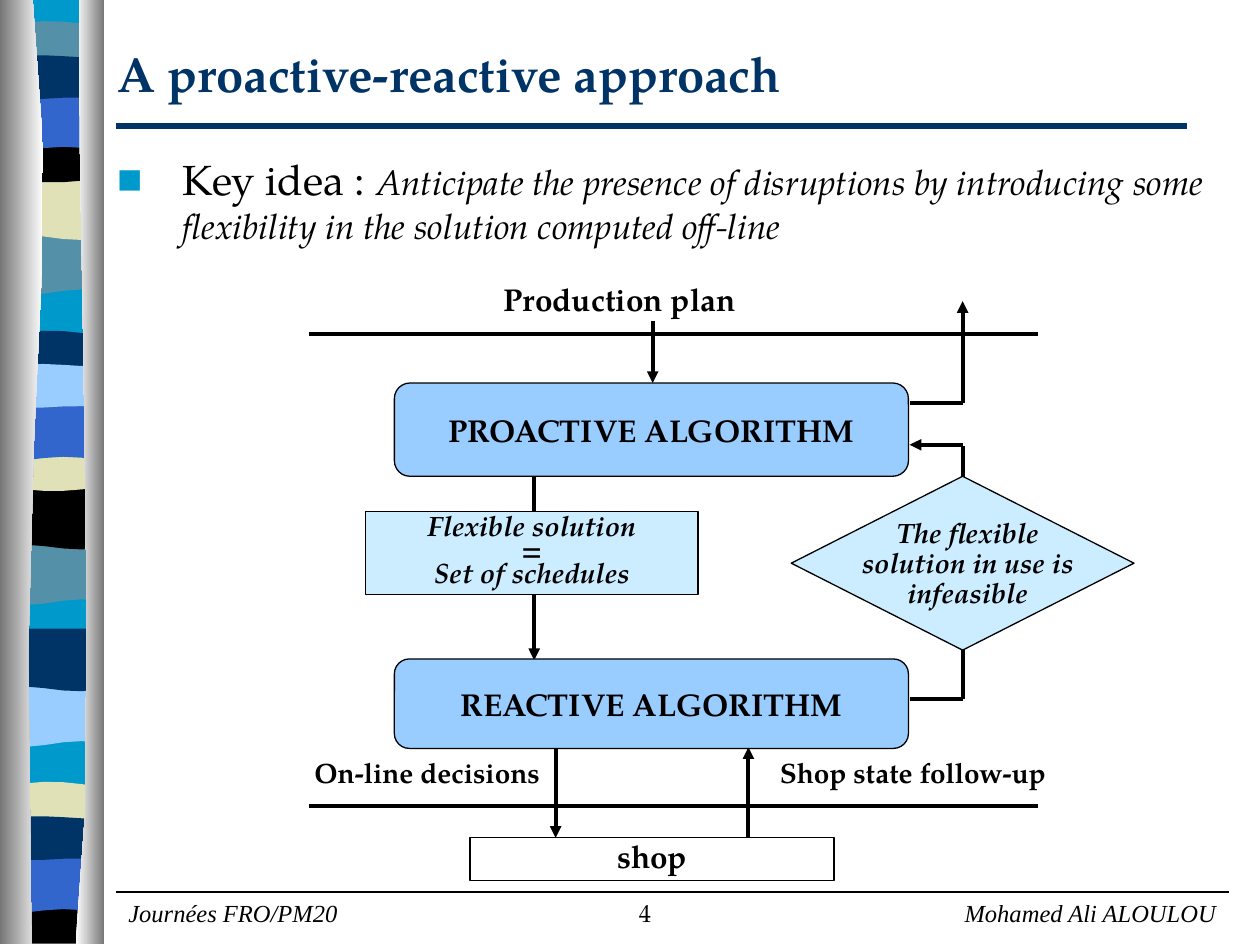
from lxml.etree import SubElement as Sub
from pptx import Presentation
from pptx.dml.color import RGBColor as RGB
from pptx.enum.shapes import MSO_CONNECTOR as Conn, MSO_SHAPE as Form
from pptx.enum.text import MSO_ANCHOR as Anchor, PP_ALIGN as Align
from pptx.oxml.ns import qn
from pptx.util import Inches, Pt

theme = {
    "navy": "003366", "blue": "3366CC", "sky": "99CCFF", "pale": "CCECFF",
    "cyan": "0099CC", "teal": "5490A8", "sand": "E1E1B7", "grey": "767676",
    "black": "000000", "white": "FFFFFF",
    "font": "TeX Gyre Pagella", "foot": "Times New Roman",
    "head": 28, "lead": 24, "body": 20, "box": 18, "note": 16, "small": 14,
    "thin": 0.74, "thick": 2.24, "rule": 3,
}
BOLD = {"bold": True}
ITAL = {"italic": True}


def tint(name):
    return RGB.from_string(theme[name])


def write(shape, lines, size, look, color="black", font="font",
          wrap=True, anchor=Anchor.TOP, **form):
    """Fill a shape with paragraphs of one run each."""
    frame = shape.text_frame
    frame.word_wrap, frame.vertical_anchor = wrap, anchor
    for i, line in enumerate(lines):
        para = frame.paragraphs[0] if i == 0 else frame.add_paragraph()
        for key, val in form.items():
            setattr(para, key, val)
        run = para.add_run()
        run.text = line
        base = {"size": Pt(theme[size]), "name": theme[font]}
        for key, val in {**base, **look}.items():
            setattr(run.font, key, val)
        run.font.color.rgb = tint(color)


deck = Presentation()
deck.slide_width, deck.slide_height = Inches(10), Inches(7.5)
slide = deck.slides.add_slide(deck.slide_layouts[1])
shapes = slide.shapes

# Ribbon bands, back to front: heights of the top and the bottom edge.
# Two heights make a straight edge, four make a cubic one.
bands = [
    ("cyan", (0, 0), (7.47, 7.47)),
    ("teal", (1.85, 1.85), (2.32, 2.4, 2.24, 2.32)),
    ("sand", (1.41, 1.41), (1.88, 1.82, 1.96, 1.88)),
    ("teal", (0.21, 0.14, 0.17, 0.21), (0.45, 0.5, 0.5, 0.45)),
    ("black", (1.08, 1.13, 1.08, 1.08), (1.41, 1.46, 1.46, 1.41)),
    ("blue", (0.74, 0.74), (1.21, 1.19, 1.12, 1.21)),
    ("navy", (0.46, 0.41, 0.46, 0.46), (0.77, 0.82, 0.74, 0.79)),
    ("teal", (4.31, 4.31), (4.78, 4.86, 4.7, 4.78)),
    ("black", (3.86, 3.86), (4.34, 4.28, 4.41, 4.34)),
    ("navy", (2.67, 2.6, 2.62, 2.67), (2.91, 2.95, 2.95, 2.91)),
    ("sand", (3.53, 3.58, 3.53, 3.53), (3.86, 3.91, 3.91, 3.86)),
    ("blue", (3.2, 3.2), (3.67, 3.65, 3.58, 3.67)),
    ("sky", (2.91, 2.86, 2.91, 2.91), (3.22, 3.27, 3.19, 3.24)),
    ("sky", (5.44, 5.44), (5.91, 5.98, 5.82, 5.91)),
    ("navy", (4.99, 4.99), (5.46, 5.41, 5.54, 5.46)),
    ("sand", (6.25, 6.18, 6.2, 6.25), (6.49, 6.54, 6.54, 6.49)),
    ("black", (7.12, 7.17, 7.12, 7.12), (7.49, 7.49)),
    ("blue", (6.79, 6.79), (7.26, 7.24, 7.17, 7.26)),
    ("navy", (6.5, 6.45, 6.5, 6.5), (6.81, 6.86, 6.78, 6.83)),
]
cols = {2: (0.04, 0.81), 4: (0.04, 0.3, 0.55, 0.81)}
parts = [([list(zip(cols[len(top)], top)),
           list(zip(cols[len(low)], low))[::-1]], [name])
         for name, top, low in bands]

# Grey sides of the ribbon
parts += [
    ([[(0.26, 0), (0.51, 2.16), (0.12, 2.96), (0.25, 7.49)],
      [(0, 7.49), (0, 0)]], ["grey", "white"]),
    ([[(0.63, 0), (0.6, 1.25), (0.8, 6.46), (0.6, 7.49)],
      [(0.83, 7.49), (0.83, 0)]], ["white", "grey"]),
]
steps = 5
for edges, names in parts:
    dots = []
    for edge in edges:
        if len(edge) == 2:
            dots += edge
            continue
        for i in range(steps + 1):
            t = i / steps
            u = 1 - t
            mix = (u ** 3, 3 * u * u * t, 3 * u * t * t, t ** 3)
            dots.append([sum(m * p[k] for m, p in zip(mix, edge))
                         for k in (0, 1)])
    dots = [(Inches(x), Inches(y)) for x, y in dots]
    pen = shapes.build_freeform(*dots[0])
    pen.add_line_segments(dots[1:], close=True)
    band = pen.convert_to_shape()
    band.shadow.inherit = False
    band.line.fill.background()
    if len(names) == 1:
        band.fill.solid()
        band.fill.fore_color.rgb = tint(names[0])
    else:
        band.fill.gradient()
        band.fill.gradient_angle = 0
        for stop, name in zip(band.fill.gradient_stops, names):
            stop.color.rgb = tint(name)

# Title and key idea
title, body = slide.placeholders
for holder, spot in ((title, (0.83, 0.08, 8.95, 1)),
                     (body, (0.83, 1.17, 8.87, 5.67))):
    for key, val in zip(("left", "top", "width", "height"), spot):
        setattr(holder, key, Inches(val))
write(title, ["A proactive-reactive approach"], "head", BOLD, "navy",
      anchor=Anchor.MIDDLE, alignment=Align.LEFT)
write(body, ["Key idea : "], "lead", {}, space_before=Pt(5))
para = body.text_frame.paragraphs[0]
run = para.add_run()
run.text = ("Anticipate the presence of disruptions by introducing some "
            "flexibility in the solution computed off-line")
for key, val in {"size": Pt(theme["body"]), "name": theme["font"],
                 "italic": True}.items():
    setattr(run.font, key, val)
run.font.color.rgb = tint("black")
props = body.element.find(".//" + qn("a:pPr"))
props.set("marL", str(Inches(0.52)))
props.set("indent", str(-Inches(0.52)))
Sub(Sub(props, qn("a:buClr")), qn("a:srgbClr"), val=theme["cyan"])
Sub(props, qn("a:buChar"), char="■")

# Rules and flow lines
side, turn = 7.22, 7.64
for ends, width, color, tip in (
    ((0.92, 1, 9.42, 1), "rule", "navy", False),
    ((0.92, 7.08, 9.75, 7.08), "thin", "black", False),
    ((2.45, 2.65, 8.24, 2.65), "thick", "black", False),
    ((2.45, 6.4, 8.24, 6.4), "thick", "black", False),
    ((4.24, 3.78, 4.24, 5.24), "thick", "black", True),
    ((5.18, 2.55, 5.18, 3.04), "thick", "black", True),
    ((4.41, 5.93, 4.41, 6.65), "thick", "black", True),
    ((5.94, 6.65, 5.94, 5.93), "thick", "black", True),
    ((side, 3.2, turn, 3.2), "thick", "black", False),
    ((turn, 3.2, turn, 2.39), "thick", "black", True),
    ((side, 5.55, turn, 5.55), "thick", "black", False),
    ((turn, 5.55, turn, 3.54), "thick", "black", False),
    ((turn, 3.53, side, 3.53), "thick", "black", True),
):
    line = shapes.add_connector(Conn.STRAIGHT, *map(Inches, ends))
    line.line.width = Pt(theme[width])
    line.line.color.rgb = tint(color)
    props = line.element.spPr
    if tip:
        Sub(props.find(qn("a:ln")), qn("a:tailEnd"), type="triangle")
    Sub(props, qn("a:effectLst"))

# Flow boxes
mid = {"wrap": False, "anchor": Anchor.MIDDLE}
both = {**BOLD, **ITAL}
for form, spot, fill, lines, size, look, opts in (
    (Form.ROUNDED_RECTANGLE, (3.13, 3.04, 4.08, 0.74), "sky",
     ["PROACTIVE ALGORITHM"], "box", BOLD, mid),
    (Form.ROUNDED_RECTANGLE, (3.13, 5.23, 4.08, 0.71), "sky",
     ["REACTIVE ALGORITHM"], "box", BOLD, mid),
    (Form.RECTANGLE, (2.9, 4.06, 2.64, 0.66), "pale",
     ["Flexible solution", "=", "Set of schedules"], "note", both,
     {"line_spacing": 0.7}),
    (Form.RECTANGLE, (3.73, 6.65, 2.89, 0.34), None,
     ["shop"], "box", BOLD, {"line_spacing": 0.8}),
    (Form.FLOWCHART_DECISION, (6.28, 3.78, 2.72, 1.38), "pale",
     [], "note", both, {}),
):
    box = shapes.add_shape(form, *map(Inches, spot))
    box.shadow.inherit = False
    box.line.width = Pt(theme["thin"])
    box.line.color.rgb = tint("black")
    if fill:
        box.fill.solid()
        box.fill.fore_color.rgb = tint(fill)
    else:
        box.fill.background()
    write(box, lines, size, look, alignment=Align.CENTER, **opts)

# Labels and footer
tight = {"alignment": Align.CENTER, "line_spacing": 0.8}
last = {"space_before": Pt(8.8)}
for spot, words, size, look, opts in (
    ((3.9, 2.17, 2.24, 0.4), "Production plan", "box", BOLD,
     {"wrap": False}),
    ((2.33, 6, 2.12, 0.32), "On-line decisions", "note", BOLD, tight),
    ((6.07, 6, 2.35, 0.53), "Shop state follow-up", "note", BOLD, tight),
    ((6.58, 4.07, 2.2, 0.82), "The flexible solution in use is infeasible",
     "note", both, {"alignment": Align.CENTER, "line_spacing": 0.9}),
    ((0.92, 7.08, 2.08, 0.34), "Journées FRO/PM20", "small", ITAL,
     {"font": "foot", **last}),
    ((4.08, 7.08, 2.08, 0.37), "4", "small", {},
     {"alignment": Align.CENTER, **last}),
    ((7.5, 7.08, 2.25, 0.34), "Mohamed Ali ALOULOU", "small", ITAL,
     {"font": "foot", "alignment": Align.RIGHT, **last}),
):
    label = shapes.add_textbox(*map(Inches, spot))
    write(label, [words], size, look, **opts)

deck.save("out.pptx")
